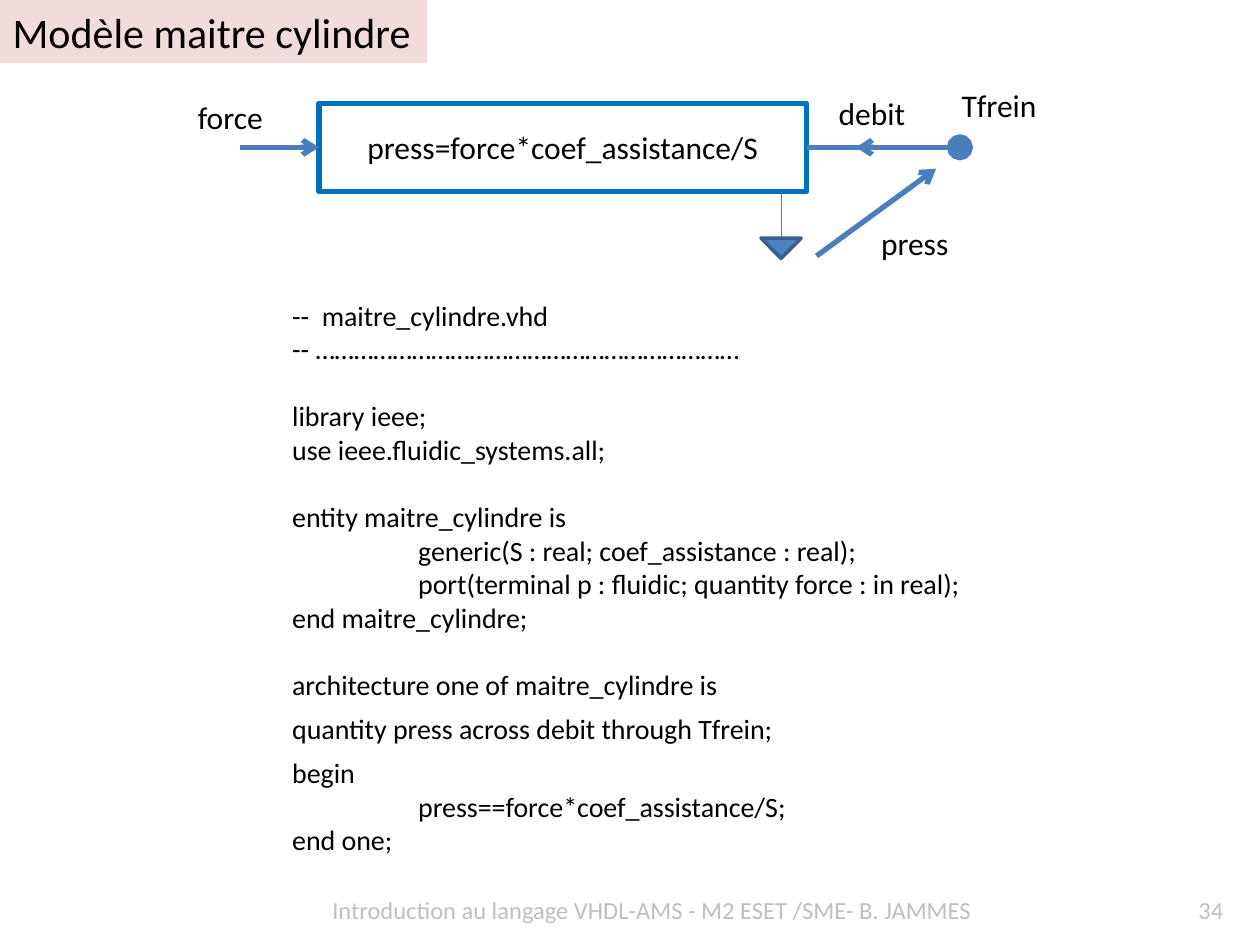
from lxml import etree
from pptx import Presentation
from pptx.dml.color import RGBColor
from pptx.enum.shapes import MSO_CONNECTOR, MSO_SHAPE
from pptx.enum.text import MSO_ANCHOR, PP_ALIGN
from pptx.oxml.ns import qn
from pptx.util import Cm, Pt

STRAIGHT = MSO_CONNECTOR.STRAIGHT
RECTANGLE, TRIANGLE = MSO_SHAPE.RECTANGLE, MSO_SHAPE.ISOSCELES_TRIANGLE
LEFT, CENTER = PP_ALIGN.LEFT, PP_ALIGN.CENTER
TOP, MIDDLE = MSO_ANCHOR.TOP, MSO_ANCHOR.MIDDLE

BLACK = RGBColor(0x00, 0x00, 0x00)
WHITE = RGBColor(0xFF, 0xFF, 0xFF)
PINK = RGBColor(0xF2, 0xDC, 0xDB)
GREY = RGBColor(0xBF, 0xBF, 0xBF)
LINE_BLUE = RGBColor(0x4B, 0x7E, 0xBC)
FRAME_BLUE = RGBColor(0x00, 0x70, 0xC0)
GROUND_FILL = RGBColor(0x4F, 0x81, 0xBD)
GROUND_LINE = RGBColor(0x3A, 0x5F, 0x8C)
FONT = "Calibri"

TITLE = "Modèle maitre cylindre"
EQUATION = "press=force*coef_assistance/S"

# text, left, top, width, height
LABELS = [
    ("debit", 16.46, 1.78, 2.24, 1.02),
    ("Tfrein", 18.87, 1.6, 2.54, 1.02),
    ("force", 3.73, 1.85, 1.83, 1.02),
    ("press", 17.5, 4.39, 1.88, 1.02),
]
FOOTERS = [
    ("34", 23.7, 17.93, 1.42, 0.81, CENTER),
    ("Introduction au langage VHDL-AMS - M2 ESET /SME- B. JAMMES",
     6.5, 17.93, 14, 0.81, LEFT),
]
LINE_PITCH = 19.2
# text, indent in cm, space before, space after
CODE = [
    ("--  maitre_cylindre.vhd", 0, 0, 0),
    ("-- …………………………………………………………", 0, 0, 0),
    ("library ieee;", 0, LINE_PITCH, 0),
    ("use ieee.fluidic_systems.all;", 0, 0, 0),
    ("entity maitre_cylindre is", 0, LINE_PITCH, 0),
    ("generic(S : real; coef_assistance : real);", 2.54, 0, 0),
    ("port(terminal p : fluidic; quantity force : in real);", 2.54, 0, 0),
    ("end maitre_cylindre;", 0, 0, 0),
    ("architecture one of maitre_cylindre is", 0, LINE_PITCH, 0),
    ("quantity press across debit through Tfrein;", 0, 6, 6),
    ("begin", 0, 0, 0),
    ("press==force*coef_assistance/S;", 2.54, 0, 0),
    ("end one;", 0, 0, 0),
]
AXIS = 2.97


def style(para, size, color=BLACK, align=LEFT):
    para.alignment = align
    para.font.name = FONT
    para.font.size = Pt(size)
    para.font.color.rgb = color


def add_text(slide, text, place, size, color=BLACK, align=CENTER, anchor=TOP):
    box = slide.shapes.add_textbox(*map(Cm, place))
    frame = box.text_frame
    frame.word_wrap = True
    frame.vertical_anchor = anchor
    frame.text = text
    style(frame.paragraphs[0], size, color, align)
    return box


def add_block(slide, kind, place, fill, line, weight):
    block = slide.shapes.add_shape(kind, *map(Cm, place))
    block.shadow.inherit = False
    block.fill.solid()
    block.fill.fore_color.rgb = fill
    block.line.color.rgb = line
    block.line.width = Pt(weight)
    return block


def add_line(slide, start, end, weight=3, tip=None, tip_size="med"):
    line = slide.shapes.add_connector(STRAIGHT, *map(Cm, start + end))
    line.line.color.rgb = LINE_BLUE
    line.line.width = Pt(weight)
    if tip:
        etree.SubElement(line.line._get_or_add_ln(), qn("a:tailEnd"),
                         type=tip, w=tip_size, len=tip_size)
    etree.SubElement(line._element.spPr, qn("a:effectLst"))
    return line


def add_title(slide):
    title = slide.shapes.title
    title.left, title.top, title.width, title.height = map(Cm, (0, 0, 8.61, 1.27))
    title.fill.solid()
    title.fill.fore_color.rgb = PINK
    frame = title.text_frame
    frame.text = TITLE
    frame.word_wrap = False
    frame.vertical_anchor = MIDDLE
    style(frame.paragraphs[0], 24)


def add_code(slide):
    box = slide.shapes.add_textbox(*map(Cm, (5.64, 5.97, 14.81, 11.56)))
    frame = box.text_frame
    frame.word_wrap = True
    for index, (text, indent, before, after) in enumerate(CODE):
        para = frame.add_paragraph() if index else frame.paragraphs[0]
        para.text = text
        style(para, 16)
        para.line_spacing = Pt(LINE_PITCH if index else 16.8)
        para.space_before, para.space_after = Pt(before), Pt(after)
        if indent:
            para._p.get_or_add_pPr().set("marL", str(Cm(indent)))


def add_diagram(slide):
    add_line(slide, (15.75, 3.81), (15.75, 4.88), 0.75)
    ground = add_block(slide, TRIANGLE, (15.34, 4.8, 0.81, 0.41),
                       GROUND_FILL, GROUND_LINE, 2)
    ground.rotation = 180

    model = add_block(slide, RECTANGLE, (6.43, 2.08, 9.83, 1.78),
                      WHITE, FRAME_BLUE, 3)
    model.text_frame.text = EQUATION
    model.text_frame.vertical_anchor = MIDDLE
    style(model.text_frame.paragraphs[0], 18, align=CENTER)

    force = add_line(slide, (4.83, AXIS), (6.43, AXIS), tip="arrow")
    force.end_connect(model, 1)
    terminal = add_line(slide, (16.26, AXIS), (19.35, AXIS), tip="oval", tip_size="lg")
    terminal.begin_connect(model, 3)
    add_line(slide, (17.96, AXIS), (17.25, AXIS), tip="arrow")
    add_line(slide, (16.46, 5.16), (18.87, 3.4), tip="arrow")

    for text, *place in LABELS:
        add_text(slide, text, place, 18)


def main():
    deck = Presentation()
    deck.slide_width, deck.slide_height = Cm(25.4), Cm(19.05)
    slide = deck.slides.add_slide(deck.slide_layouts[5])
    add_title(slide)
    add_code(slide)
    for text, *place, align in FOOTERS:
        box = add_text(slide, text, place, 14, GREY, align, MIDDLE)
        frame = box.text_frame
        frame.margin_left = frame.margin_right = Cm(0.2)
        frame.margin_top = frame.margin_bottom = Cm(0.1)
    add_diagram(slide)
    deck.save("out.pptx")


if __name__ == "__main__":
    main()
